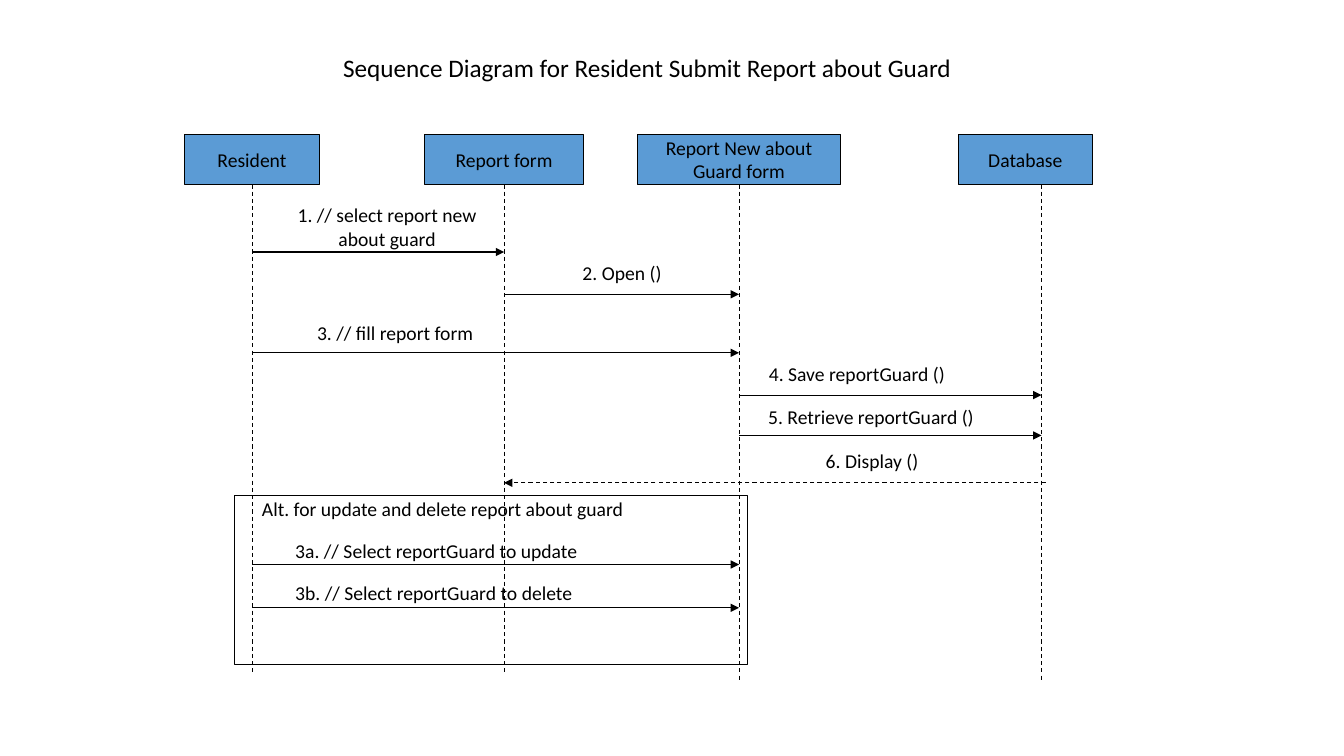
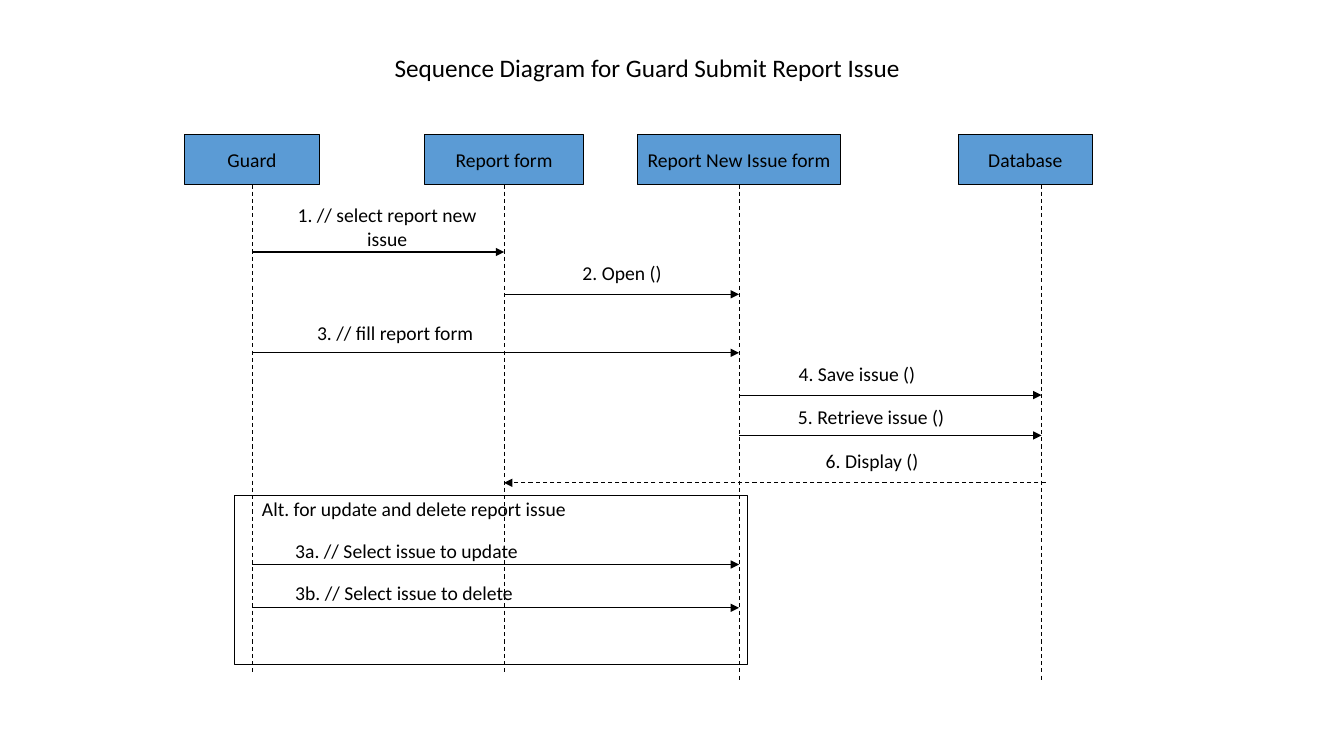
import pptx
import pptx.util
import pptx.dml.color
import pptx.enum.dml
import pptx.enum.shapes
import pptx.enum.text
import pptx.oxml.ns
from lxml import etree

Inches, Pt = pptx.util.Inches, pptx.util.Pt
ALIGN = pptx.enum.text.PP_ALIGN
RECTANGLE = pptx.enum.shapes.MSO_SHAPE.RECTANGLE
FONT, BLACK, BLUE = "Calibri", "000000", "5B9BD5"

DIAGRAMS = [
    {"title": "Sequence Diagram for Resident Submit Report about Guard",
     "actor": "Resident", "form": "Report New about\nGuard form",
     "subject": "about guard", "item": "reportGuard",
     "alternative": "report about guard"},
    {"title": "Sequence Diagram for Guard Submit Report Issue",
     "actor": "Guard", "form": "Report New Issue form",
     "subject": "issue", "item": "issue",
     "alternative": "report issue"},
]

# Lifeline positions, left to right
ACTOR, REPORT, NEW, DATA = 2.5, 5, 7.33, 10.33
HEAD_TOP, HEAD_HEIGHT = 1.33, 0.5

# Text, box centre, box width, lifeline, lifeline end
HEADS = [
    ("{actor}", ACTOR, 1.33, ACTOR, 6.67),
    ("Report form", REPORT, 1.57, REPORT, 6.67),
    ("{form}", NEW, 2.02, NEW, 6.75),
    ("Database", 10.17, 1.33, DATA, 6.75),
]

# Text, label centre (x, y), arrow start, arrow end, arrow y, dashed
MESSAGES = [
    ("1. // select report new\n{subject}", 3.84, 2.25, ACTOR, REPORT, 2.5, False),
    ("2. Open ()", 6.17, 2.71, REPORT, NEW, 2.92, False),
    ("3. // fill report form", 3.92, 3.3, ACTOR, NEW, 3.5, False),
    ("4. Save {item} ()", 8.5, 3.71, NEW, DATA, 3.92, False),
    ("5. Retrieve {item} ()", 8.64, 4.13, NEW, DATA, 4.32, False),
    ("6. Display ()", 8.65, 4.57, 10.37, REPORT, 4.79, True),
]

# Text, left, centre y, arrow y
FRAME = (2.33, 4.92, 5.08, 1.67)
FRAME_NOTES = [
    ("Alt. for update and delete {alternative}", 2.5, 5.05, None),
    ("3a. // Select {item} to update", 2.83, 5.46, 5.6),
    ("3b. // Select {item} to delete", 2.83, 5.88, 6.03),
]


def color(value):
    return pptx.dml.color.RGBColor.from_string(value)


def write(shape, text, size=14, align=ALIGN.CENTER):
    tf = shape.text_frame
    tf.text = text
    tf.word_wrap = True
    tf.auto_size = pptx.enum.text.MSO_AUTO_SIZE.NONE
    tf.vertical_anchor = pptx.enum.text.MSO_ANCHOR.MIDDLE
    tf.margin_top = tf.margin_bottom = 0
    for p in tf.paragraphs:
        p.alignment = align
        for r in p.runs:
            r.font.name, r.font.size = FONT, Pt(size)
            r.font.color.rgb = color(BLACK)


def add_title(s, text):
    title = s.shapes.title
    title.left, title.top = Inches(2.42), Inches(0.33)
    title.width, title.height = Inches(8), Inches(0.67)
    write(title, text, 18)


def add_box(s, left, top, width, height, fill=None):
    box = s.shapes.add_shape(RECTANGLE, *map(Inches, (left, top, width, height)))
    box.shadow.inherit = False
    if fill:
        box.fill.solid()
        box.fill.fore_color.rgb = color(fill)
    else:
        box.fill.background()
    box.line.color.rgb = color(BLACK)
    box.line.width = Pt(0.75)
    return box


def add_label(s, text, left, middle, width, align=ALIGN.CENTER):
    height = 0.5
    label = s.shapes.add_textbox(Inches(left), Inches(middle - height / 2),
                                 Inches(width), Inches(height))
    write(label, text, align=align)


def add_line(s, x1, y1, x2, y2, dashed=False, arrow=True):
    line = s.shapes.add_connector(pptx.enum.shapes.MSO_CONNECTOR.STRAIGHT,
                                  *map(Inches, (x1, y1, x2, y2)))
    line.line.color.rgb = color(BLACK)
    line.line.width = Pt(0.75)
    if dashed:
        line.line.dash_style = pptx.enum.dml.MSO_LINE.DASH
    qn = pptx.oxml.ns.qn
    properties = line._element.spPr
    if arrow:
        etree.SubElement(properties.find(qn("a:ln")), qn("a:tailEnd"), type="triangle")
    etree.SubElement(properties, qn("a:effectLst"))
    return line


def add_diagram(prs, words):
    s = prs.slides.add_slide(prs.slide_layouts[5])
    add_title(s, words["title"])
    for text, center, width, x, end in HEADS:
        head = add_box(s, center - width / 2, HEAD_TOP, width, HEAD_HEIGHT, BLUE)
        write(head, text.format(**words))
        head.text_frame.margin_left = head.text_frame.margin_right = 0
        lifeline = add_line(s, x, HEAD_TOP + HEAD_HEIGHT, x, end, dashed=True, arrow=False)
        if x == center:
            lifeline.begin_connect(head, 2)
    for text, x, middle, start, end, y, dashed in MESSAGES:
        width = 2.4
        add_label(s, text.format(**words), x - width / 2, middle, width)
        add_line(s, start, y, end, y, dashed)
    add_box(s, *FRAME)
    for text, left, middle, y in FRAME_NOTES:
        add_label(s, text.format(**words), left, middle, 4.2, ALIGN.LEFT)
        if y:
            add_line(s, ACTOR, y, NEW, y)


def main():
    prs = pptx.Presentation()
    prs.slide_width, prs.slide_height = Inches(13.33), Inches(7.5)
    for words in DIAGRAMS:
        add_diagram(prs, words)
    prs.save("out.pptx")


if __name__ == "__main__":
    main()
